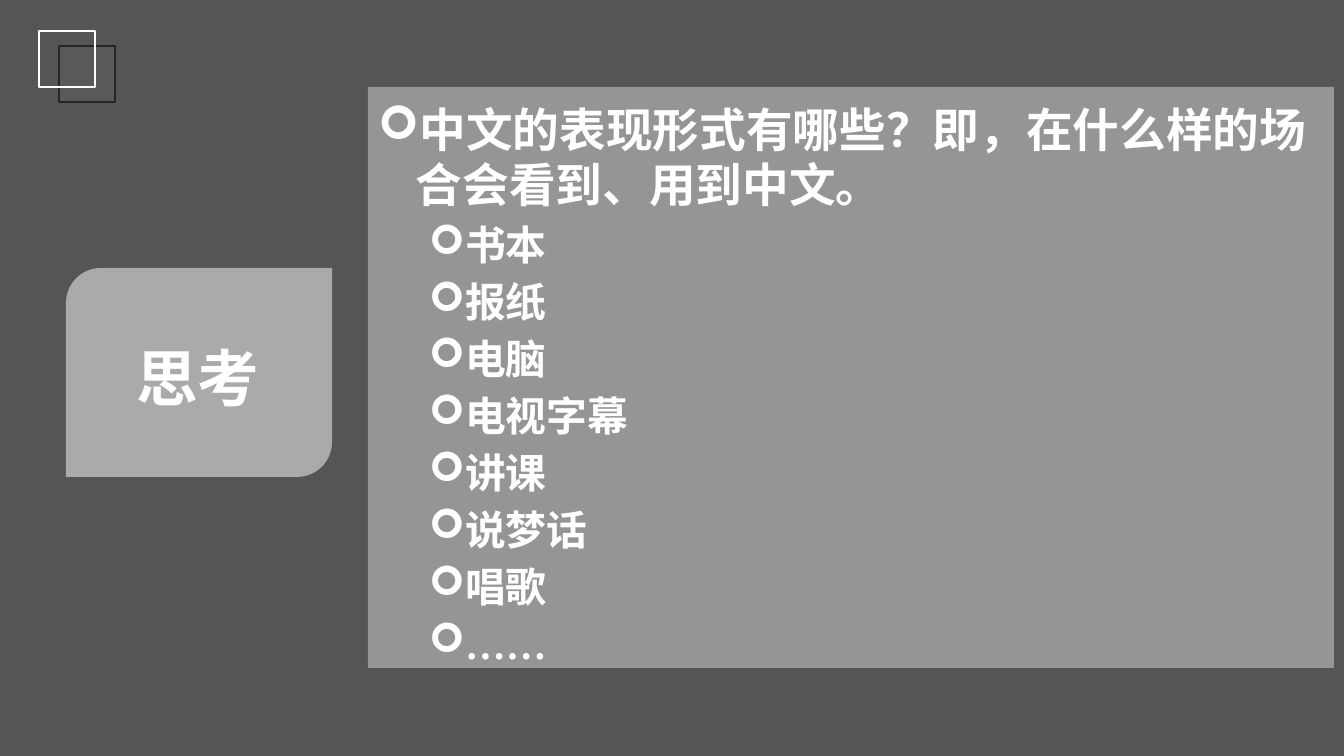
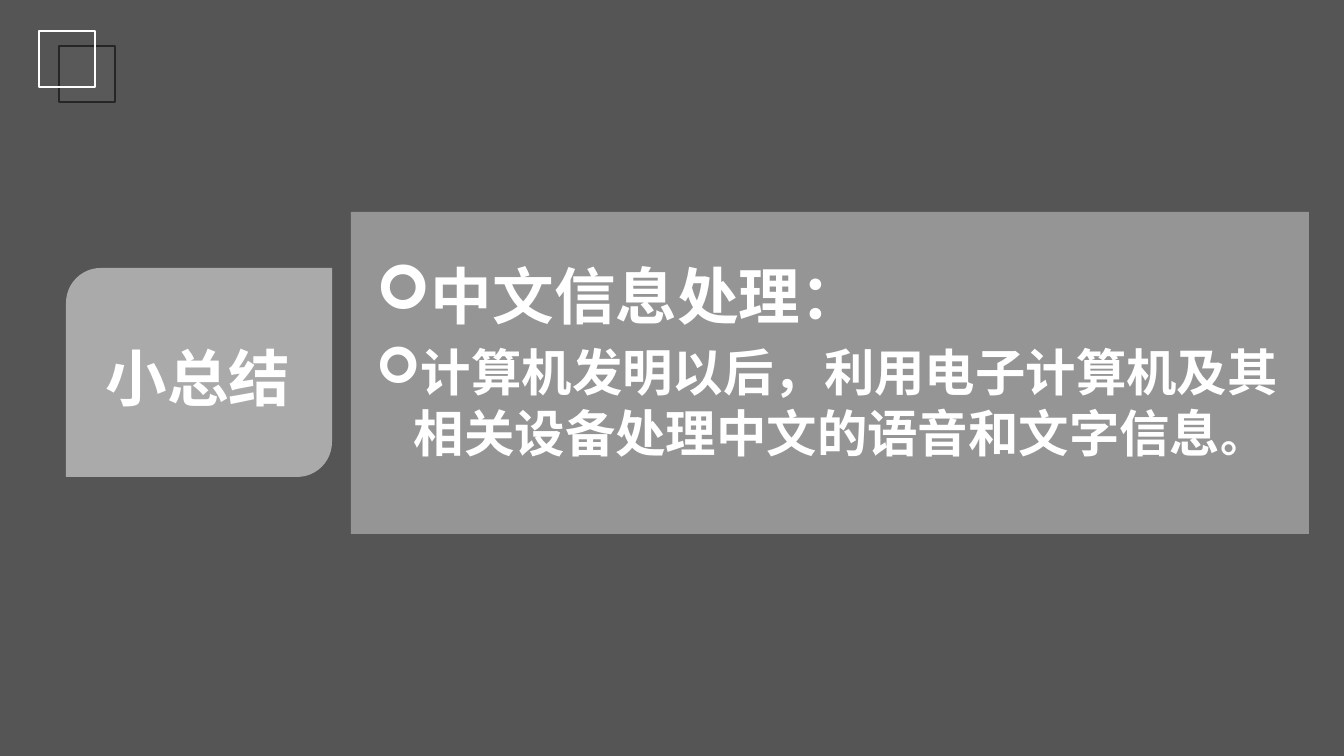
from lxml.etree import SubElement
from pptx import Presentation
from pptx.dml.color import RGBColor
from pptx.enum.shapes import MSO_SHAPE
from pptx.enum.text import MSO_ANCHOR, MSO_AUTO_SIZE, PP_ALIGN
from pptx.oxml.ns import qn
from pptx.util import Emu, Pt

# Shared style
WHITE = RGBColor(0xFF, 0xFF, 0xFF)
VEIL = RGBColor(0x0D, 0x0D, 0x0D)
SQUARE_FILL = RGBColor(0x59, 0x59, 0x59)
SQUARE_LINE = RGBColor(0x26, 0x26, 0x26)
CJK_FONT = "Noto Sans CJK SC"
LATIN_FONT = "Times New Roman"
BULLET_FONT = "Wingdings"
PX_PER_INCH = 100.8
WIDTH, HEIGHT = 1344, 756


def px(n):
    return Emu(round(n * 914400 / PX_PER_INCH))


def add_text(p, text, size, font=LATIN_FONT, color=WHITE, bold=True):
    r = p.add_run()
    r.text = text
    r.font.size = Pt(size)
    r.font.bold = bold
    r.font.color.rgb = color
    r.font.name = font
    ea = SubElement(r.font._element, qn("a:ea"))
    ea.set("typeface", CJK_FONT)


class Deck:
    def __init__(self):
        self.prs = Presentation()
        self.prs.slide_width, self.prs.slide_height = px(WIDTH), px(HEIGHT)
        self.layout = self.prs.slide_layouts[5]
        self.s = None

    def new_slide(self, title):
        first = self.s is None
        self.s = self.prs.slides.add_slide(self.layout)
        if first:
            self.backdrop()
        self.shape(MSO_SHAPE.ROUND_2_DIAG_RECTANGLE, 66, 268, 266, 209, fill=WHITE, alpha=50)
        self.title(title)
        # Corner ornament
        self.shape(MSO_SHAPE.RECTANGLE, 59, 46, 56, 56, fill=SQUARE_FILL, line=SQUARE_LINE)
        self.shape(MSO_SHAPE.RECTANGLE, 39, 31, 56, 56, line=WHITE)

    def backdrop(self):
        """Place the dark veil on the layout, behind everything."""
        sp = self.shape(MSO_SHAPE.RECTANGLE, 0, 0, WIDTH, HEIGHT, fill=VEIL, alpha=70)
        title = self.layout.placeholders[0].element
        title.addprevious(sp.element)

    def shape(self, kind, x, y, w, h, fill=None, alpha=100, line=None):
        sp = self.s.shapes.add_shape(kind, px(x), px(y), px(w), px(h))
        sp.shadow.inherit = False
        if fill is None:
            sp.fill.background()
        else:
            sp.fill.solid()
            sp.fill.fore_color.rgb = fill
            if alpha < 100:
                clr = sp.element.spPr.find(qn("a:solidFill"))[0]
                SubElement(clr, qn("a:alpha")).set("val", str(alpha * 1000))
        if line is None:
            sp.line.fill.background()
        else:
            sp.line.color.rgb = line
            sp.line.width = Pt(1)
        return sp

    def title(self, text):
        sp = self.s.shapes.title
        sp.left, sp.top, sp.width, sp.height = px(66), px(272), px(264), px(209)
        tf = sp.text_frame
        tf.auto_size = MSO_AUTO_SIZE.NONE
        tf.vertical_anchor = MSO_ANCHOR.MIDDLE
        p = tf.paragraphs[0]
        p.alignment = PP_ALIGN.CENTER
        add_text(p, text, size=44, font=CJK_FONT)
        # Bring the title in front of its plaque
        sp.element.getparent().append(sp.element)

    def panel(self, x, y, w, h):
        self.shape(MSO_SHAPE.RECTANGLE, x, y, w, h, fill=WHITE, alpha=38)

    def text_box(self, x, y, w, h):
        tf = self.s.shapes.add_textbox(px(x), px(y), px(w), px(h)).text_frame
        tf.word_wrap = True
        return tf

    def bullet(self, tf, *runs, line, before=0, level=0):
        """Add a bulleted paragraph; each run is a (text, size) pair."""
        p = tf.paragraphs[0]
        if p.runs:
            p = tf.add_paragraph()
        p.level = level
        margin, hang = ((38, 38), (82, 31))[level]
        pPr = p._p.get_or_add_pPr()
        pPr.set("marL", str(px(margin)))
        pPr.set("indent", str(px(-hang)))
        SubElement(pPr, qn("a:buFont")).set("typeface", BULLET_FONT)
        SubElement(pPr, qn("a:buChar")).set("char", "➢")
        p.line_spacing = Pt(line)
        p.space_before = Pt(before)
        for text, size in runs:
            add_text(p, text, size=size)


def main():
    deck = Deck()

    # Slide 1: question and examples
    deck.new_slide("思考")
    deck.panel(368, 87, 966, 581)
    tf = deck.text_box(368, 96, 958, 548)
    deck.bullet(tf, ("中文的表现形式有哪些？即，在什么样的场合会看到、用到中文。", 33.3), line=39.6)
    for item in ("书本", "报纸", "电脑", "电视字幕", "讲课", "说梦话", "唱歌", "……"):
        deck.bullet(tf, (item, 29.1), line=36, before=4.7, level=1)

    # Slide 2: summary
    deck.new_slide("小总结")
    deck.panel(351, 212, 958, 322)
    tf = deck.text_box(366, 253, 929, 241)
    deck.bullet(tf, ("中文信息处理：", 44), line=53)
    deck.bullet(tf, ("计算机发明以后，利用电子计算机及其相关设备处理中文的语音和文字信息", 36),
                ("。", 31.5), line=43.6, before=6)

    deck.prs.save("out.pptx")


if __name__ == "__main__":
    main()
